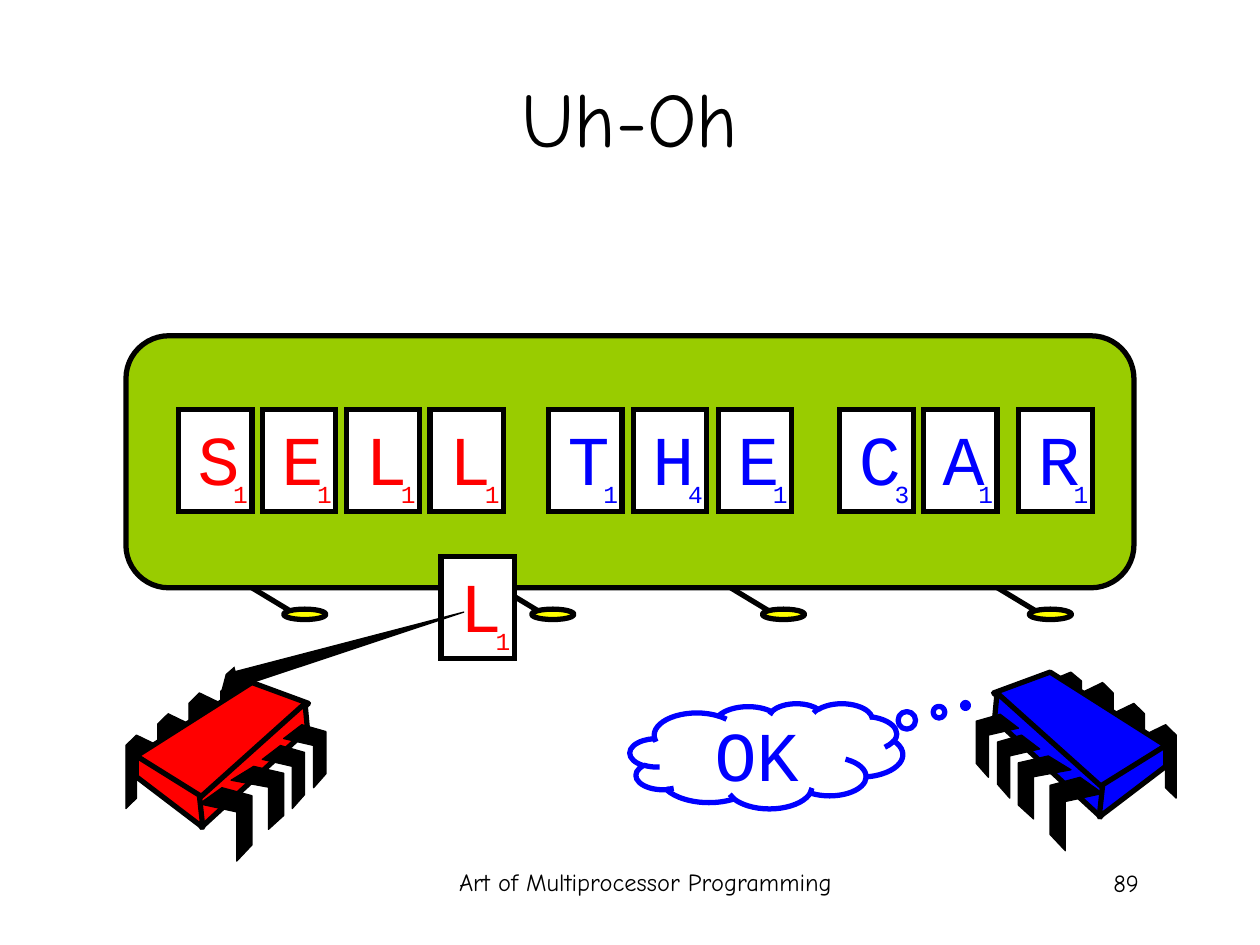
from pptx import Presentation
from pptx.dml.color import RGBColor
from pptx.enum.shapes import MSO_CONNECTOR, MSO_SHAPE
from pptx.enum.text import MSO_ANCHOR, PP_ALIGN
from pptx.oxml.xmlchemy import OxmlElement
from pptx.util import Cm, Pt

STRAIGHT = MSO_CONNECTOR.STRAIGHT
RECTANGLE, ROUNDED = MSO_SHAPE.RECTANGLE, MSO_SHAPE.ROUNDED_RECTANGLE
OVAL, CLOUD = MSO_SHAPE.OVAL, MSO_SHAPE.CLOUD_CALLOUT
TOP, MIDDLE = MSO_ANCHOR.TOP, MSO_ANCHOR.MIDDLE
CENTER, RIGHT = PP_ALIGN.CENTER, PP_ALIGN.RIGHT

BLACK = RGBColor(0, 0, 0)
WHITE = RGBColor(255, 255, 255)
RED = RGBColor(255, 0, 0)
BLUE = RGBColor(0, 0, 255)
GREEN = RGBColor(0x99, 0xCC, 0)
YELLOW = RGBColor(255, 255, 0)
HAND, MONO = "Comic Neue", "Courier New"

CAPTIONS = [
    ("Art of Multiprocessor Programming", (8.67, 17.35, 8.69, 1.32), 14, CENTER, TOP),
    ("89", (17.93, 17.37, 5.28, 1.27), 14, RIGHT, TOP),
    ("Uh-Oh", (1.27, 0.76, 22.86, 3.18), 44, CENTER, MIDDLE),
]

BOARD = (2.54, 6.77, 20.32, 5.08)
FEET = [5.08, 10.08, 14.73, 20.11]

TILE_WIDTH, TILE_HEIGHT = 1.48, 2.06
WORDS = [
    ([("S", 1), ("E", 1), ("L", 1), ("L", 1)], 3.6, 8.26, 1.69, RED),
    ([("T", 1), ("H", 4), ("E", 1)], 11.06, 8.26, 1.71, BLUE),
    ([("C", 3), ("A", 1)], 16.93, 8.26, 1.69, BLUE),
    ([("R", 1)], 20.54, 8.26, 1.69, BLUE),
    ([("L", 1)], 8.89, 11.22, 1.69, RED),
]

REAR_LEG = [(1, 0.14), (0.33, 0), (0, 0.14), (0, 1), (0.33, 0.86), (0.33, 0.29), (1, 0.43)]
FRONT_LEG = [(0.43, 0), (0, 0.22), (0.71, 0.33), (0.71, 1), (1, 0.78), (1, 0.11)]
REAR_LEGS = [
    (2.54, 14.82, 0.64, 1.48),
    (3.18, 14.39, 0.64, 1.48),
    (3.81, 13.97, 0.64, 1.48),
    (4.45, 13.76, 0.64, 1.27),
]
FRONT_LEGS = [
    (4.02, 15.88, 1.06, 1.48),
    (4.66, 15.45, 1.06, 1.27),
    (5.29, 15.03, 0.85, 1.27),
    (5.72, 14.61, 0.85, 1.27),
]
CHIP_FACES = [
    [(5.08, 13.76), (2.75, 15.24), (4.06, 16.12), (6.22, 14.18)],
    [(6.15, 14.18), (4.02, 16.09), (4.06, 16.68), (6.2, 14.71)],
    [(2.75, 15.24), (2.75, 15.66), (4.09, 16.68), (4.02, 16.03)],
]
MIRROR_X, MIRROR_RISE = 26.25, 0.21

ARROW = [(4.45, 13.97), (9.35, 12.34), (4.55, 13.59)]

prs = Presentation()
prs.slide_width, prs.slide_height = Cm(25.4), Cm(19.05)
shapes = prs.slides.add_slide(prs.slide_layouts[6]).shapes


def paint(shape, fill, line=BLACK, weight=3):
    shape.shadow.inherit = False
    if fill is None:
        shape.fill.background()
    else:
        shape.fill.solid()
        shape.fill.fore_color.rgb = fill
    shape.line.color.rgb = line
    shape.line.width = Pt(weight)
    return shape


def add_preset(kind, box, fill, line=BLACK):
    return paint(shapes.add_shape(kind, *map(Cm, box)), fill, line)


def add_outline(points, fill, weight, close=True):
    corners = [(Cm(x), Cm(y)) for x, y in points]
    builder = shapes.build_freeform(*corners[0])
    builder.add_line_segments(corners[1:], close=close)
    return paint(builder.convert_to_shape(), fill, weight=weight)


def write(shape, text, font, size, color, align, anchor=TOP, wrap=True):
    frame = shape.text_frame
    frame.word_wrap = wrap
    frame.vertical_anchor = anchor
    paragraph = frame.paragraphs[0]
    paragraph.text = text
    paragraph.alignment = align
    paragraph.font.name = font
    paragraph.font.size = Pt(size)
    paragraph.font.color.rgb = color


def add_foot(x):
    bottom = BOARD[1] + BOARD[3]
    leg = shapes.add_connector(STRAIGHT, Cm(x), Cm(bottom), Cm(x + 1.06), Cm(bottom + 0.64))
    leg.line.color.rgb = BLACK
    leg.line.width = Pt(3)
    leg._element.spPr.append(OxmlElement("a:effectLst"))
    add_preset(OVAL, (x + 0.64, bottom + 0.43, 0.85, 0.21), YELLOW)


def add_tile(letter, score, x, y, color):
    tile = add_preset(RECTANGLE, (x, y, TILE_WIDTH, TILE_HEIGHT), WHITE)
    corner = OxmlElement("a:miter")
    corner.set("lim", "800000")
    tile._element.spPr.get_or_add_ln().append(corner)
    write(tile, letter, MONO, 40, color, RIGHT)
    score_box = shapes.add_textbox(Cm(x + 0.84), Cm(y + 1.27), Cm(0.81), Cm(0.84))
    write(score_box, str(score), MONO, 14, color, RIGHT, wrap=False)


def add_chip(color, mirrored=False):
    def place(points):
        if mirrored:
            return [(MIRROR_X - x, y - MIRROR_RISE) for x, y in points]
        return points

    def add_legs(leg, boxes):
        for left, top, width, height in boxes:
            points = [(left + u * width, top + v * height) for u, v in leg]
            add_outline(place(points), BLACK, 0.75)

    add_legs(REAR_LEG, REAR_LEGS)
    for face in CHIP_FACES:
        add_outline(place(face), color, 3)
    add_legs(FRONT_LEG, FRONT_LEGS)


for text, box, size, align, anchor in CAPTIONS:
    write(shapes.add_textbox(*map(Cm, box)), text, HAND, size, BLACK, align, anchor)

add_preset(ROUNDED, BOARD, GREEN).adjustments[0] = 0.17
for foot_x in FEET:
    add_foot(foot_x)

add_chip(RED)
for tiles, start, tile_y, step, ink in WORDS:
    for i, (letter, score) in enumerate(tiles):
        add_tile(letter, score, start + i * step, tile_y, ink)
add_chip(BLUE, mirrored=True)

thought = add_preset(CLOUD, (12.7, 14.18, 5.5, 2.12), None, BLUE)
thought.adjustments[0], thought.adjustments[1] = 0.73, -0.48
write(thought, "OK", MONO, 40, BLUE, CENTER, MIDDLE)

arrow = add_outline(ARROW, BLACK, 0.75, close=False)
head = OxmlElement("a:tailEnd")
head.set("type", "triangle")
arrow._element.spPr.get_or_add_ln().append(head)

prs.save("out.pptx")
